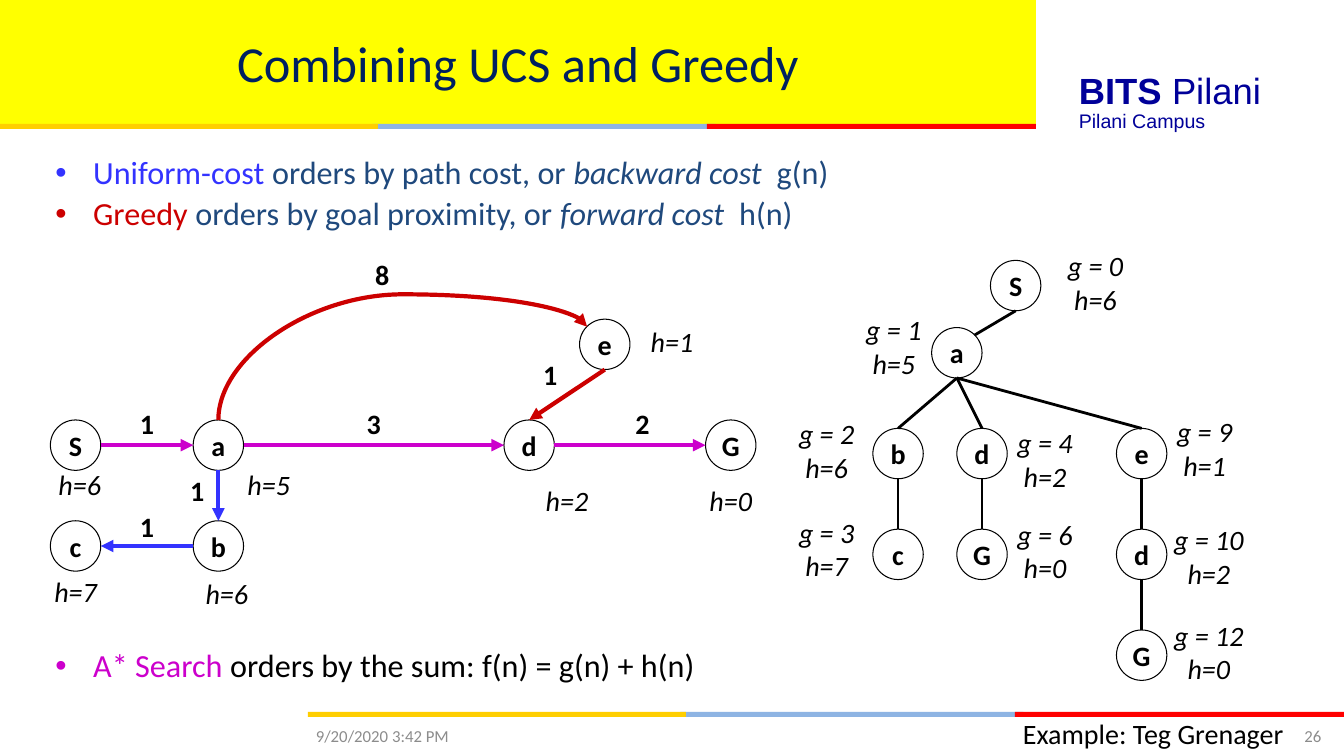
from dataclasses import dataclass

import lxml.etree
import pptx
import pptx.dml.color
import pptx.enum.shapes
import pptx.enum.text
import pptx.oxml.ns
import pptx.util

Pt = pptx.util.Pt
RGB = pptx.dml.color.RGBColor
Shape = pptx.enum.shapes.MSO_SHAPE
Link = pptx.enum.shapes.MSO_CONNECTOR
Align = pptx.enum.text.PP_ALIGN
Anchor = pptx.enum.text.MSO_ANCHOR
qn = pptx.oxml.ns.qn

BLACK = RGB(0, 0, 0)
WHITE = RGB(255, 255, 255)
YELLOW = RGB(255, 255, 0)
GOLD = RGB(0xFF, 0xCE, 0)
SKY = RGB(0x8E, 0xB4, 0xE3)
SCARLET = RGB(255, 0, 0)
NAVY = RGB(0, 0x20, 0x60)
INDIGO = RGB(0, 0, 0x99)
SLATE = RGB(0x1F, 0x49, 0x7D)
BLUE = RGB(0x33, 0x33, 0xFF)
RED = RGB(0xCC, 0, 0)
PURPLE = RGB(0xCC, 0, 0xCC)
GRAY = RGB(0x8C, 0x8C, 0x8C)

SIZE = 36  # node diameter
# Ports: places on a node's box, as shares of its size
TOP, BOTTOM, LEFT, RIGHT, CORNER = (0.5, 0), (0.5, 1), (0, 0.5), (1, 0.5), (0.85, 0.15)


@dataclass
class Node:
    name: str
    x: float
    y: float

    def port(self, side: tuple) -> tuple:
        return self.x + SIZE * side[0], self.y + SIZE * side[1]


@dataclass
class Edge:
    start: Node
    out: tuple
    end: Node
    into: tuple
    color: RGB = BLACK


@dataclass
class Label:
    text: str
    x: float
    y: float
    width: float


@dataclass
class Run:
    text: str
    color: RGB
    italic: bool = False


S, a, d, G = (Node(n, x, 300) for n, x in zip("SadG", (36, 138, 360, 504)))
c, b = Node("c", 36, 372), Node("b", 138, 372)
e = Node("e", 414, 228)
GRAPH = [S, a, d, G, c, b, e]
ROADS = [
    Edge(S, RIGHT, a, LEFT, PURPLE), Edge(a, RIGHT, d, LEFT, PURPLE),
    Edge(d, RIGHT, G, LEFT, PURPLE), Edge(a, BOTTOM, b, TOP, BLUE),
    Edge(b, LEFT, c, RIGHT, BLUE), Edge(e, BOTTOM, d, TOP, RED),
]

root, first = Node("S", 707.5, 186), Node("a", 665.5, 234)
CHAINS = [
    [Node(n, x, 306 + 72 * row) for row, n in enumerate(names)]
    for names, x in (("bc", 623.5), ("dG", 683.5), ("edG", 797.5))
]
TREE = [root, first] + [node for chain in CHAINS for node in chain]
BRANCHES = [Edge(root, BOTTOM, first, CORNER)] + [
    Edge(up, BOTTOM, down, TOP)
    for chain in CHAINS for up, down in zip([first] + chain, chain)
]

COSTS = [
    Label("1", 84, 286.5, 42), Label("3", 246, 286.5, 42), Label("2", 438, 286.5, 42),
    Label("8", 258, 180.5, 30), Label("1", 372, 252, 42),
    Label("1", 120, 335, 42), Label("1", 84, 360.5, 42),
]
GUESSES = [
    Label("h=6", 24, 330.5, 66), Label("h=5", 156, 330.5, 72), Label("h=2", 378, 342, 54),
    Label("h=0", 486, 342, 72), Label("h=7", 24, 407, 60), Label("h=6", 132, 408, 60),
    Label("h=1", 450, 228, 60),
    Label("g = 0 h=6", 749.5, 174, 66), Label("g = 1 h=5", 605.5, 220, 66),
    Label("g = 2 h=6", 557.5, 294, 66), Label("g = 3 h=7", 557.5, 364.5, 66),
    Label("g = 4 h=2", 713.5, 300.5, 66), Label("g = 6 h=0", 713.5, 366, 66),
    Label("g = 9 h=1", 827.5, 292.5, 66), Label("g = 10 h=2", 827.5, 370, 72),
    Label("g = 12 h=0", 827.5, 438, 72),
]
ORDERS = [
    [Run("Uniform-cost ", BLUE), Run("orders by path cost, or ", SLATE),
     Run("backward cost  ", SLATE, True), Run("g(n)", SLATE)],
    [Run("Greedy ", RED), Run("orders by goal proximity, or ", SLATE),
     Run("forward cost  ", SLATE, True), Run("h(n)", SLATE)],
]
SUM = [[Run("A* Search", PURPLE), Run(" orders by the sum: f(n) = g(n) + h(n)", BLACK)]]

deck = pptx.Presentation()
deck.slide_width, deck.slide_height = Pt(960), Pt(540)
shapes = deck.slides.add_slide(deck.slide_layouts[6]).shapes


def style(para, size: float, color: RGB, align=Align.LEFT, bold=False,
          italic=False, face="Calibri") -> None:
    para.alignment = align
    font = para.font
    font.name, font.size, font.bold, font.italic = face, Pt(size), bold, italic
    font.color.rgb = color


def solid(kind: Shape, x: float, y: float, w: float, h: float, fill: RGB):
    shape = shapes.add_shape(kind, Pt(x), Pt(y), Pt(w), Pt(h))
    shape.shadow.inherit = False
    shape.fill.solid()
    shape.fill.fore_color.rgb = fill
    shape.line.fill.background()
    return shape


def frame(x: float, y: float, w: float, h: float):
    text = shapes.add_textbox(Pt(x), Pt(y), Pt(w), Pt(h)).text_frame
    text.word_wrap = True
    return text


def write(text: str, x: float, y: float, w: float, h: float, size: float = 20,
          color: RGB = BLACK, anchor=Anchor.TOP, **look) -> None:
    box = frame(x, y, w, h)
    box.vertical_anchor = anchor
    box.text = text
    style(box.paragraphs[0], size, color, **look)


def stripe(x: float, y: float) -> None:
    """Draw the sky, red and gold bar."""
    for shift, width, fill in ((266, 245, SKY), (505, 235, SCARLET), (0, 270, GOLD)):
        solid(Shape.RECTANGLE, x + shift, y, width, 3.6, fill)


def bullets(rows: list, y: float, h: float) -> None:
    box = frame(32.5, y, 648, h)
    for i, row in enumerate(rows):
        para = box.add_paragraph() if i else box.paragraphs[0]
        props = para._p.get_or_add_pPr()
        props.set("marL", str(Pt(27)))
        props.set("indent", str(Pt(-27)))
        lxml.etree.SubElement(props, qn("a:buFont")).set("typeface", "Arial")
        lxml.etree.SubElement(props, qn("a:buChar")).set("char", "•")
        para.line_spacing = 0.9
        if i:
            para.space_before = Pt(4.6)
        para.font.name, para.font.size = "Calibri", Pt(23)
        for part in row:
            run = para.add_run()
            run.text = part.text
            run.font.color.rgb = part.color
            run.font.italic = part.italic


def circle(node: Node) -> None:
    shape = solid(Shape.OVAL, node.x, node.y, SIZE, SIZE, WHITE)
    shape.line.color.rgb, shape.line.width = BLACK, Pt(0.75)
    text = shape.text_frame
    text.word_wrap = False
    text.vertical_anchor = Anchor.MIDDLE
    text.text = node.name
    style(text.paragraphs[0], 20, BLACK, Align.CENTER, bold=True)


def join(kind: Link, start: tuple, end: tuple, color: RGB, width: float, arrow: bool):
    link = shapes.add_connector(kind, *map(Pt, start + end))
    link.line.color.rgb, link.line.width = color, Pt(width)
    if arrow:
        tail = lxml.etree.SubElement(link.line._get_or_add_ln(), qn("a:tailEnd"))
        tail.set("type", "triangle")
    lxml.etree.SubElement(link._element.spPr, qn("a:effectLst"))
    return link


def arc() -> None:
    """Draw the curved arrow from a to e, turned so that it leaves upward."""
    x1, y1 = a.port(TOP)
    x2, y2 = e.port((0.15, 0.15))
    midx, midy = (x1 + x2) / 2, (y1 + y2) / 2
    w, h = y1 - y2, x2 - x1
    link = join(Link.CURVE, (midx - w / 2, midy - h / 2),
                (midx + w / 2, midy + h / 2), RED, 3, True)
    props = link._element.spPr
    props.find(qn("a:xfrm")).set("rot", "16200000")
    guides = props.find(qn("a:prstGeom")).get_or_add_avLst()
    guide = lxml.etree.SubElement(guides, qn("a:gd"))
    guide.set("name", "adj1")
    guide.set("fmla", "val 134800")


stripe(220, 508.5)
title = solid(Shape.RECTANGLE, 0, 0, 740, 88.5, YELLOW).text_frame
title.vertical_anchor = Anchor.MIDDLE
title.text = "Combining UCS and Greedy"
style(title.paragraphs[0], 36, NAVY, Align.CENTER)
stripe(0, 88.5)

school = frame(763.5, 45, 190, 39).paragraphs[0]
style(school, 26, INDIGO, face="Arial")
for word, bold in (("BITS ", True), ("Pilani", False)):
    run = school.add_run()
    run.text, run.font.bold = word, bold
write("Pilani Campus", 763.5, 74.5, 172, 24.5, 14, INDIGO, face="Arial")

bullets(ORDERS, 108.5, 64)
bullets(SUM, 460.5, 36)

for node in GRAPH + TREE:
    circle(node)
for edges, width, arrow in ((ROADS, 3, True), (BRANCHES, 2, False)):
    for edge in edges:
        join(Link.STRAIGHT, edge.start.port(edge.out), edge.end.port(edge.into),
             edge.color, width, arrow)
arc()
for labels, bold in ((COSTS, True), (GUESSES, False)):
    for label in labels:
        high = 55.5 if " " in label.text else 31
        write(label.text, label.x, label.y, label.width, high,
              align=Align.CENTER, bold=bold, italic=not bold)

write("Example: Teg Grenager", 702, 508.5, 222, 31.5, align=Align.RIGHT)
write("9/20/2020 3:42 PM", 218.5, 511, 224, 29, 12, GRAY, Anchor.MIDDLE)
write("26", 915, 511, 36, 29, 12, GRAY, Anchor.MIDDLE, align=Align.RIGHT)
deck.save("out.pptx")
